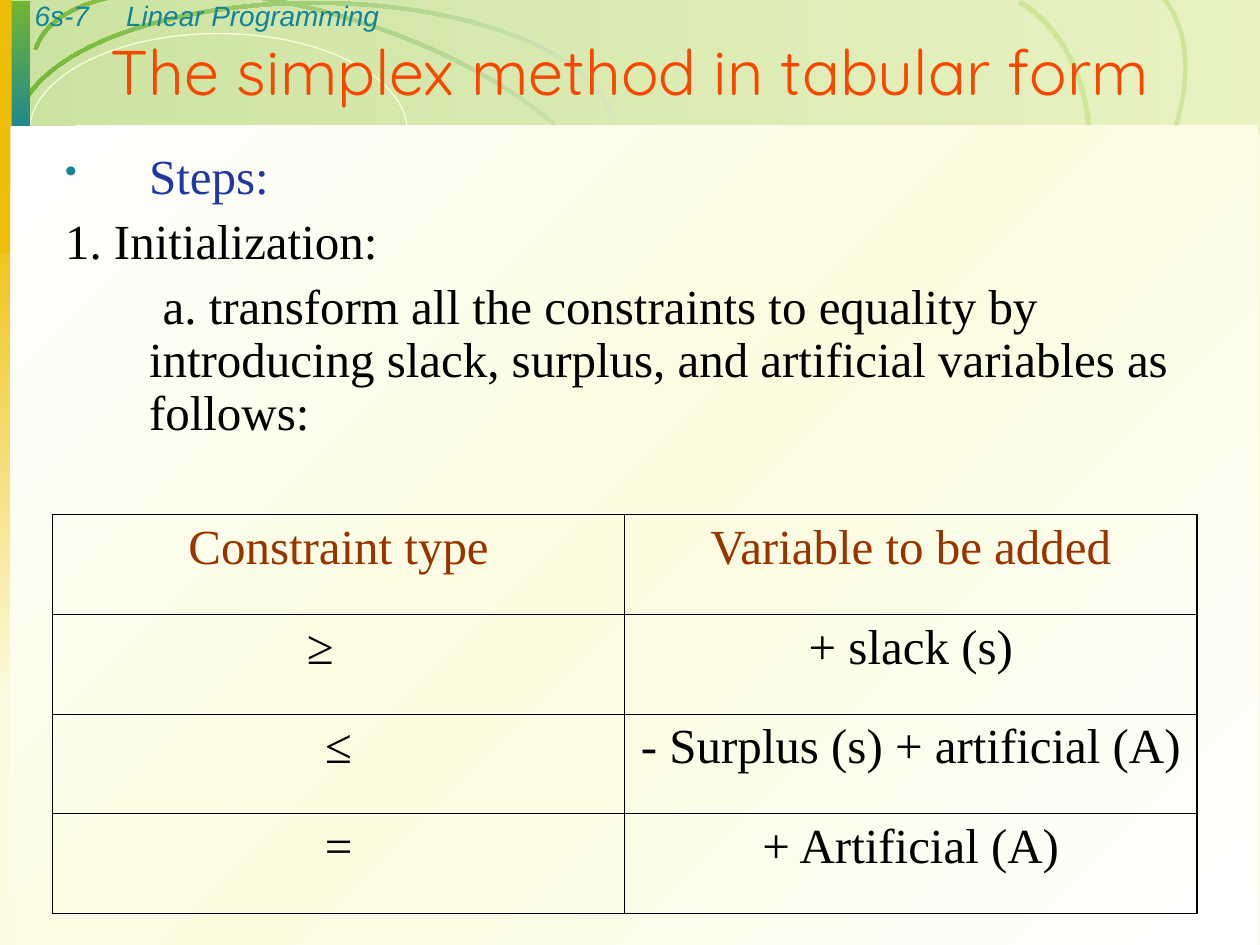
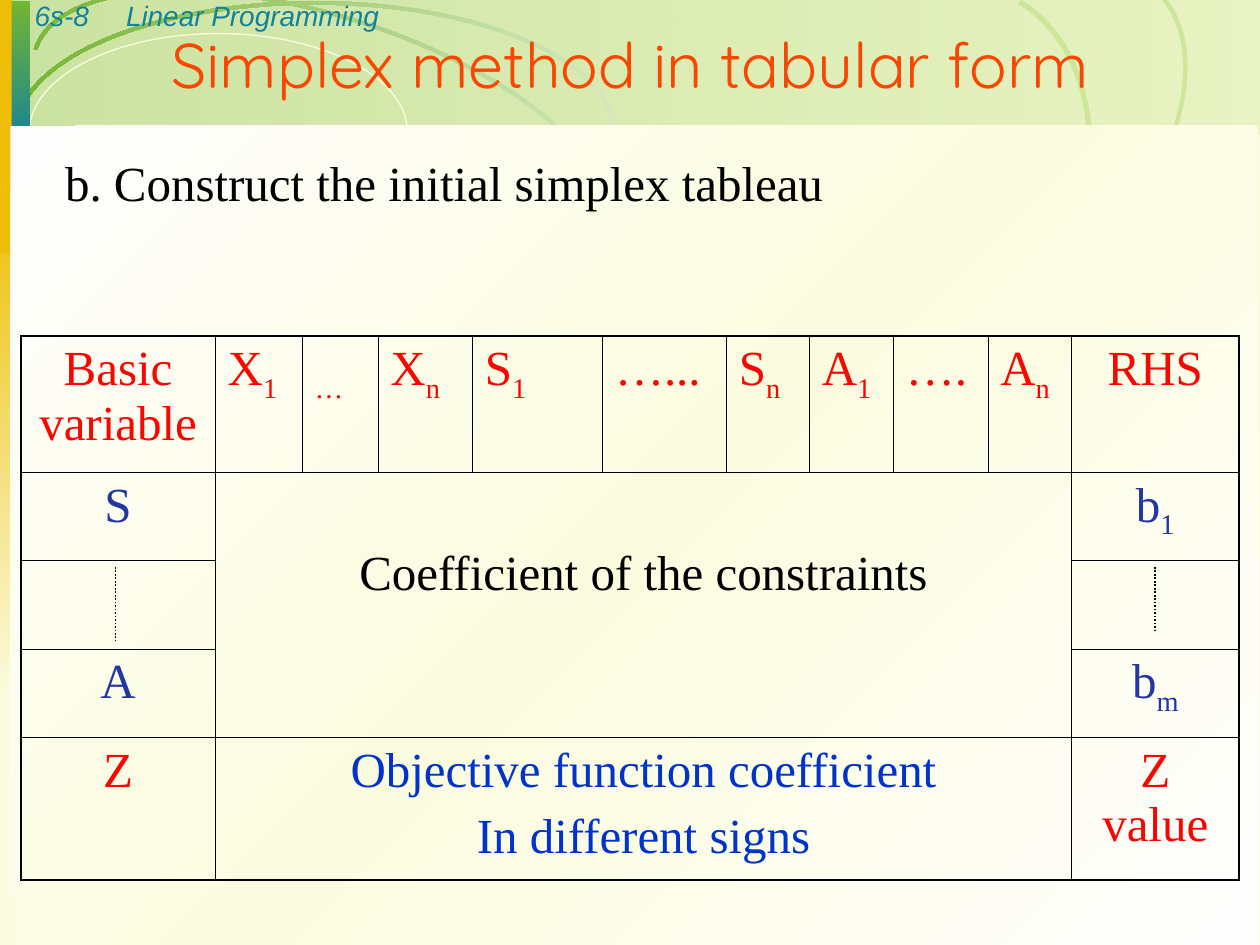
from dataclasses import dataclass, field

import lxml.etree
import pptx
import pptx.dml.color
import pptx.enum.dml
import pptx.enum.shapes
import pptx.enum.text
import pptx.oxml.ns
import pptx.util

Shape = pptx.enum.shapes.MSO_SHAPE
Align = pptx.enum.text.PP_ALIGN
qn = pptx.oxml.ns.qn

WIDTH, HEIGHT = 120, 90
CREAM, WHITE, BLACK = "FBFCDF", "FEFEFE", "000000"
GREEN, PALE_GREEN, ARC_GREEN, LIME = "74B632", "D4E8C0", "CDE69A", "BCDD7B"
GOLD, TEAL, ORANGE = "EFBE09", "148298", "F84700"
NAVY, BLUE, RED, BROWN = "2237A0", "0033CC", "F80600", "993300"
SERIF, SANS, DISPLAY = "Times New Roman", "Arial", "Quicksand"
BODY_SIZE = 28
OUTER_RULE, INNER_RULE = 1.08, 0.45


@dataclass(frozen=True)
class Box:
    """Place and size in grid units."""
    left: float
    top: float
    width: float
    height: float


@dataclass(frozen=True)
class Ornament:
    """Preset shape of the shared backdrop, filled with (position, colour, opacity) stops."""
    kind: int
    box: Box
    stops: tuple = ()
    angle: float = 0
    rotation: float = 0
    flipped: bool = False
    outline: str = ""


@dataclass(frozen=True)
class Style:
    """Look of a line of text."""
    size: float
    font: str
    color: str
    italic: bool = False
    align: int = Align.LEFT
    before: float = 0
    line_spacing: float = 1.0


@dataclass(frozen=True)
class Step:
    """Body paragraph with its indents in grid units."""
    text: str
    margin: float
    indent: float
    color: str = BLACK
    bullet: bool = False
    line_spacing: float = 1.0


@dataclass(frozen=True)
class Entry:
    """Table cell; an underscore in the text starts a subscript."""
    text: str
    color: str = BLACK
    align: int = Align.CENTER
    span: tuple = (1, 1)
    top: float = 0.6
    right: float = 1.2


@dataclass(frozen=True)
class Grid:
    """Table with its column widths, row heights and entries by (row, column)."""
    left: float
    top: float
    columns: tuple
    rows: tuple
    entries: dict


@dataclass(frozen=True)
class Lesson:
    """Content of one slide."""
    number: str
    title: str
    title_top: float
    body: Box
    steps: tuple
    table: Grid
    dots: tuple = field(default=())


ARC_STOPS = ((0, PALE_GREEN, 100), (100, GREEN, 100))
ARC_FLAT = ((0, ARC_GREEN, 100),)
BACKDROP = (
    Ornament(Shape.RECTANGLE, Box(0.1, 0, WIDTH, 12.7), ((0, LIME, 29), (100, GREEN, 36)), 180),
    Ornament(Shape.BLOCK_ARC, Box(1.9, 1.3, 57.2, 23.9), ARC_STOPS, 162, 17.5),
    Ornament(Shape.OVAL, Box(2.8, 3.2, 36, 18.7), outline=CREAM),
    Ornament(Shape.RECTANGLE, Box(0, 18.6, 2.6, 48.1), ((0, GOLD, 100), (100, CREAM, 100)), 90),
    Ornament(Shape.BLOCK_ARC, Box(60.8, 2.9, 57.2, 31.1), ARC_FLAT, 0, 318.2, True),
    Ornament(Shape.BLOCK_ARC, Box(54, 6.2, 57.2, 36.7), ARC_FLAT, 0, 300.7, True),
    Ornament(Shape.BLOCK_ARC, Box(1.4, 0.1, 57.2, 24.8), ARC_STOPS, 180),
    Ornament(Shape.RECTANGLE, Box(0.1, 0.1, 2.8, 13.7), ((0, GREEN, 100), (100, TEAL, 100)), 90),
    Ornament(Shape.RECTANGLE, Box(0, 0, 1.1, 24.2), ((0, GOLD, 100),)),
    Ornament(Shape.RECTANGLE, Box(1, 12, 118.8, 78),
             ((0, WHITE, 100), (50, CREAM, 100), (100, WHITE, 100)), 225),
)
RUNNING_HEAD = Style(16, SANS, TEAL, italic=True, before=10)
TITLE = Style(36, DISPLAY, ORANGE, align=Align.CENTER)

CONSTRAINT_ROWS = (
    (Entry("Constraint type", BROWN), Entry("Variable to be added", BROWN)),
    (Entry("≥", right=4.7), Entry("+ slack (s)")),
    (Entry("≤"), Entry("- Surplus (s) + artificial (A)")),
    (Entry("="), Entry("+ Artificial (A)")),
)
VARIABLES = ("X_1", "_…", "X_n", "S_1", "…...", "S_n", "A_1", "….", "A_n")
RHS = len(VARIABLES) + 1
TABLEAU = {
    (0, 0): Entry("Basic variable", RED),
    **{(0, i): Entry(name, RED, Align.LEFT) for i, name in enumerate(VARIABLES, 1)},
    (0, RHS): Entry("RHS", RED),
    (1, 0): Entry("S", NAVY),
    (1, 1): Entry("Coefficient of the constraints", span=(3, 9), top=7.1),
    (1, RHS): Entry("b_1", NAVY),
    (3, 0): Entry("A", NAVY),
    (3, RHS): Entry("b_m", NAVY),
    (4, 0): Entry("Z", RED),
    (4, 1): Entry("Objective function coefficient\nIn different signs", BLUE, span=(1, 9)),
    (4, RHS): Entry("Z value", RED),
}
LESSONS = (
    Lesson("6s-7", "The simplex method in tabular form", 0.7, Box(5, 13.9, 111, 31.1),
           (Step("Steps:", 8, -8, NAVY, True, 0.9),
            Step("1. Initialization:", 8, -8, line_spacing=0.9),
            Step("a. transform all the constraints to equality by introducing slack, "
                 "surplus, and artificial variables as follows:", 8, 1.3, line_spacing=0.9)),
           Grid(5, 49, (54.5,) * 2, (9.5,) * 4,
                {(r, c): entry for r, row in enumerate(CONSTRAINT_ROWS)
                 for c, entry in enumerate(row)})),
    Lesson("6s-8", "Simplex method in tabular form", 0, Box(5, 13.9, 112, 8.2),
           (Step("b. Construct the initial simplex tableau", 3, -3),),
           Grid(2, 32, (18.5, 8.3, 7.2, 9, 12.4, 11.8, 7.9, 8, 9, 8, 15.9),
                (13, 8.4, 8.4, 8.4, 13.6), TABLEAU),
           ((11, 54, 61), (110, 54, 60))),
)


def units(count: float) -> int:
    """Turn grid units, twelve to the inch, into a length."""
    return pptx.util.Inches(count / 12)


def frame(box: Box) -> tuple:
    """Return the four lengths of a box."""
    return units(box.left), units(box.top), units(box.width), units(box.height)


def rgb(color: str):
    """Turn a hex string into a colour."""
    return pptx.dml.color.RGBColor.from_string(color)


def child(parent, tag: str, **attributes):
    """Append an XML element with its attributes."""
    return lxml.etree.SubElement(parent, qn(tag), {k: str(v) for k, v in attributes.items()})


def fill_gradient(shape, stops: tuple, angle: float) -> None:
    """Fill a shape with a linear gradient."""
    gradient = lxml.etree.Element(qn("a:gradFill"), {"rotWithShape": "1"})
    stop_list = child(gradient, "a:gsLst")
    for position, color, opacity in stops:
        stop = child(stop_list, "a:gs", pos=position * 1000)
        shade = child(stop, "a:srgbClr", val=color)
        if opacity < 100:
            child(shade, "a:alpha", val=opacity * 1000)
    child(gradient, "a:lin", ang=int(angle * 60000), scaled=0)
    shape._element.spPr.find(qn("a:prstGeom")).addnext(gradient)


def draw_ornament(slide, ornament: Ornament) -> None:
    """Draw one shape of the backdrop."""
    shape = slide.shapes.add_shape(ornament.kind, *frame(ornament.box))
    shape.shadow.inherit = False
    shape.rotation = ornament.rotation
    if ornament.kind == Shape.BLOCK_ARC:
        for index, value in enumerate((108, 0, 0.014)):
            shape.adjustments[index] = value
    if ornament.flipped:
        shape._element.spPr.find(qn("a:xfrm")).set("flipV", "1")
    if ornament.outline:
        shape.line.color.rgb = rgb(ornament.outline)
        shape.line.width = pptx.util.Pt(0.75)
    else:
        shape.line.fill.background()
    if len(ornament.stops) > 1:
        fill_gradient(shape, ornament.stops, ornament.angle)
    elif ornament.stops:
        shape.fill.solid()
        shape.fill.fore_color.rgb = rgb(ornament.stops[0][1])
    else:
        shape.fill.background()


def format_paragraph(paragraph, style: Style) -> None:
    """Apply a style to a paragraph and its runs."""
    paragraph.alignment = style.align
    paragraph.space_before = pptx.util.Pt(style.before)
    paragraph.line_spacing = style.line_spacing
    for run in paragraph.runs:
        run.font.size = pptx.util.Pt(style.size)
        run.font.name = style.font
        run.font.italic = style.italic
        run.font.color.rgb = rgb(style.color)


def add_text(slide, box: Box, text: str, style: Style, inset: float = 1.2):
    """Add a wrapped text box and return its text frame."""
    text_frame = slide.shapes.add_textbox(*frame(box)).text_frame
    text_frame.word_wrap = True
    text_frame.margin_left = units(inset)
    text_frame.text = text
    for paragraph in text_frame.paragraphs:
        format_paragraph(paragraph, style)
    return text_frame


def add_steps(slide, box: Box, steps: tuple) -> None:
    """Add the body text with its indents and bullets."""
    text = "\n".join(step.text for step in steps)
    text_frame = add_text(slide, box, text, Style(BODY_SIZE, SERIF, BLACK))
    for paragraph, step in zip(text_frame.paragraphs, steps):
        format_paragraph(paragraph, Style(BODY_SIZE, SERIF, step.color, before=7,
                                          line_spacing=step.line_spacing))
        properties = paragraph._p.get_or_add_pPr()
        properties.set("marL", str(units(step.margin)))
        properties.set("indent", str(units(step.indent)))
        if step.bullet:
            child(child(properties, "a:buClr"), "a:srgbClr", val=TEAL)
            child(properties, "a:buSzPct", val=70000)
            child(properties, "a:buChar", char="•")
        else:
            child(properties, "a:buNone")


def rule_cell(cell, outer_sides: dict) -> None:
    """Draw the four borders of a cell, heavier along the table's edge."""
    properties = cell._tc.get_or_add_tcPr()
    for side, is_outer in outer_sides.items():
        width = pptx.util.Pt(OUTER_RULE if is_outer else INNER_RULE)
        border = child(properties, f"a:ln{side}", w=int(width))
        child(child(border, "a:solidFill"), "a:srgbClr", val=BLACK)
    cell.fill.background()


def write_entry(cell, entry: Entry) -> None:
    """Write the text of a cell, with subscripts."""
    cell.margin_left, cell.margin_right = units(1.2), units(entry.right)
    cell.margin_top, cell.margin_bottom = units(entry.top), units(0.6)
    cell.text_frame.text = entry.text
    for paragraph in cell.text_frame.paragraphs:
        base, _, subscript = paragraph.text.partition("_")
        paragraph.text = base
        if subscript:
            run = paragraph.add_run()
            run.text = subscript
            run._r.get_or_add_rPr().set("baseline", "-25000")
        format_paragraph(paragraph, Style(BODY_SIZE, SERIF, entry.color,
                                          align=entry.align, before=7))


def add_grid(slide, grid: Grid) -> None:
    """Add a ruled table without fills."""
    row_count, column_count = len(grid.rows), len(grid.columns)
    box = Box(grid.left, grid.top, sum(grid.columns), sum(grid.rows))
    table = slide.shapes.add_table(row_count, column_count, *frame(box)).table
    table.first_row = table.horz_banding = False
    for column, width in zip(table.columns, grid.columns):
        column.width = units(width)
    for row, height in zip(table.rows, grid.rows):
        row.height = units(height)
    for (r, c), entry in grid.entries.items():
        down, across = entry.span
        if entry.span != (1, 1):
            table.cell(r, c).merge(table.cell(r + down - 1, c + across - 1))
        write_entry(table.cell(r, c), entry)
    for r in range(row_count):
        for c in range(column_count):
            cell = table.cell(r, c)
            if cell.is_spanned:
                cell.fill.background()
                continue
            down, across = grid.entries[r, c].span if (r, c) in grid.entries else (1, 1)
            rule_cell(cell, {"L": c == 0, "R": c + across == column_count,
                             "T": r == 0, "B": r + down == row_count})


def add_dots(slide, x: float, top: float, bottom: float) -> None:
    """Add a dotted vertical line."""
    line = slide.shapes.add_connector(pptx.enum.shapes.MSO_CONNECTOR.STRAIGHT,
                                      units(x), units(top), units(x), units(bottom))
    line.line.color.rgb = rgb(BLACK)
    line.line.width = pptx.util.Pt(1)
    line.line.dash_style = pptx.enum.dml.MSO_LINE.ROUND_DOT
    child(line._element.spPr, "a:effectLst")


def build_lesson(presentation, lesson: Lesson) -> None:
    """Build one slide."""
    slide = presentation.slides.add_slide(presentation.slide_layouts[6])
    slide.background.fill.solid()
    slide.background.fill.fore_color.rgb = rgb(CREAM)
    for ornament in BACKDROP:
        draw_ornament(slide, ornament)
    add_text(slide, Box(0.7, -0.7, 13, 4.4), lesson.number, RUNNING_HEAD, inset=2.6)
    add_text(slide, Box(10.8, -0.7, 104, 4.4), "Linear Programming", RUNNING_HEAD)
    heading = add_text(slide, Box(0, lesson.title_top, WIDTH, 12), lesson.title, TITLE)
    heading.vertical_anchor = pptx.enum.text.MSO_ANCHOR.MIDDLE
    add_steps(slide, lesson.body, lesson.steps)
    add_grid(slide, lesson.table)
    for dots in lesson.dots:
        add_dots(slide, *dots)


def main() -> None:
    """Build and save the presentation."""
    presentation = pptx.Presentation()
    presentation.slide_width, presentation.slide_height = units(WIDTH), units(HEIGHT)
    for lesson in LESSONS:
        build_lesson(presentation, lesson)
    presentation.save("out.pptx")


if __name__ == "__main__":
    main()
